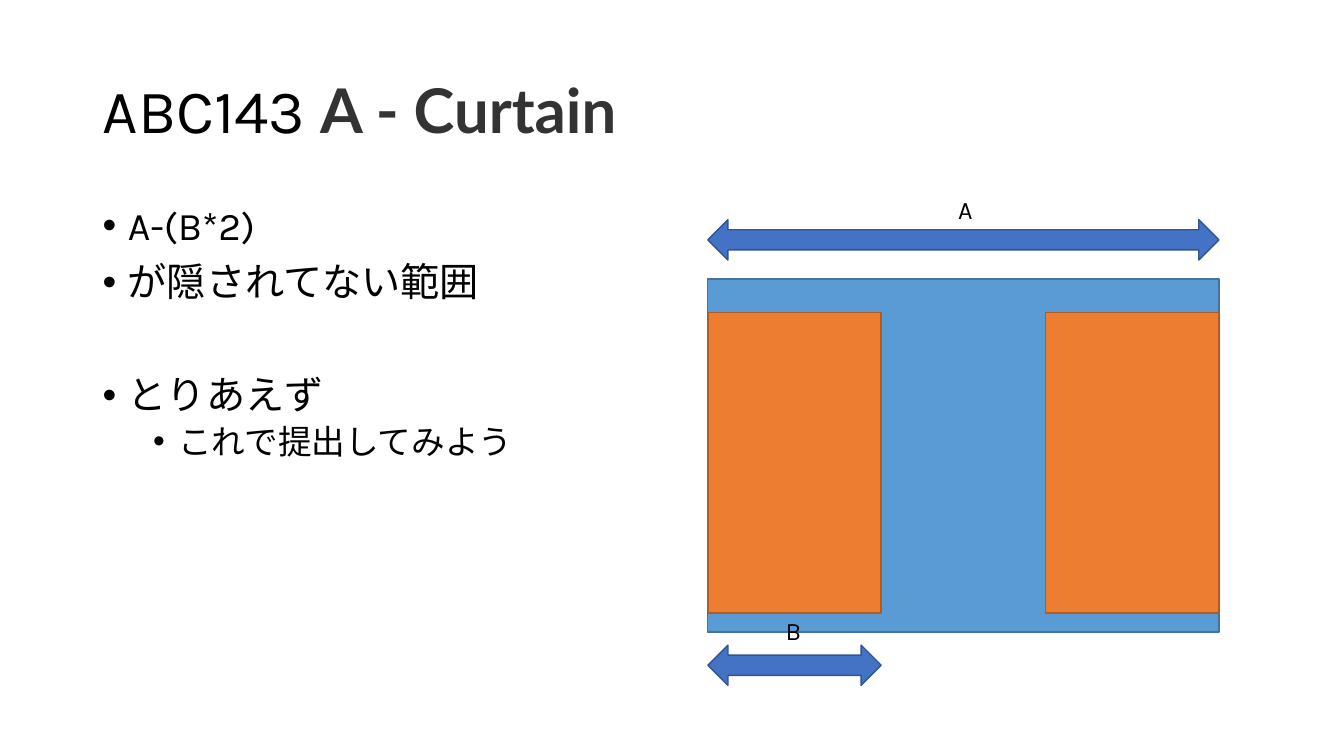
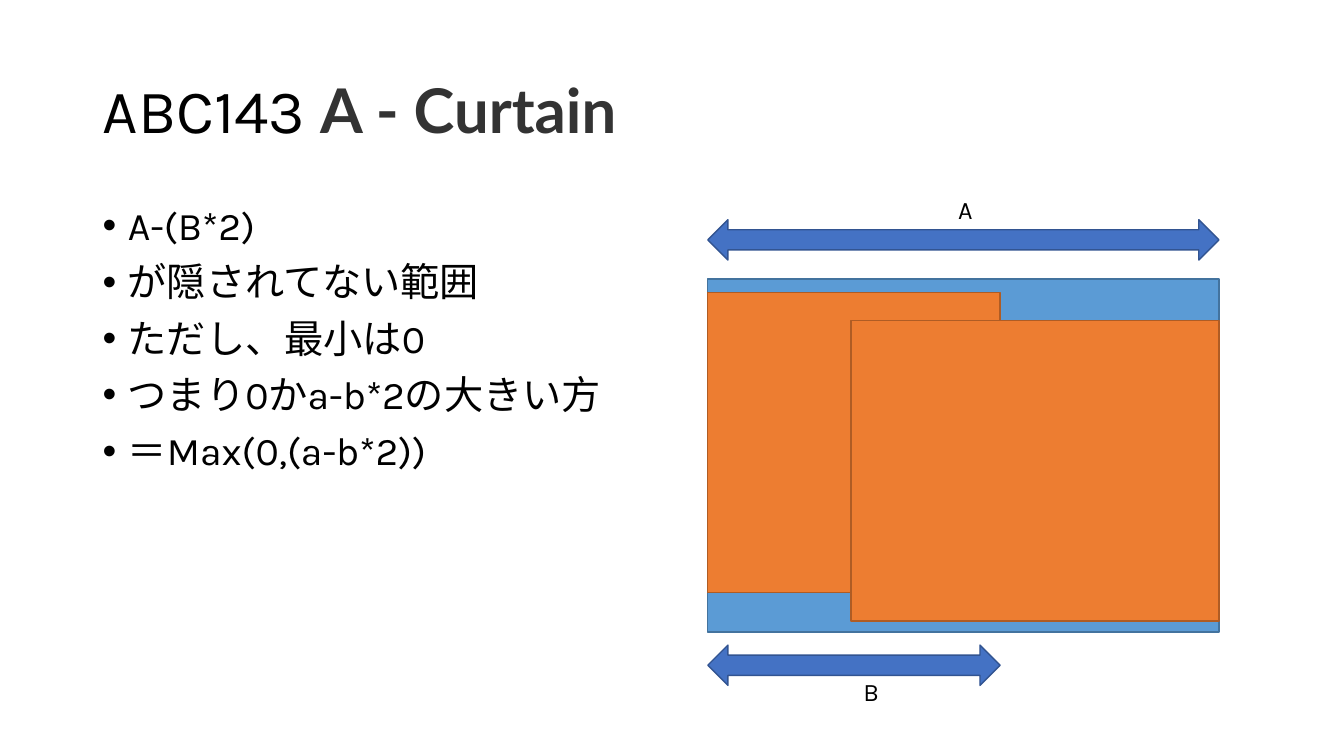
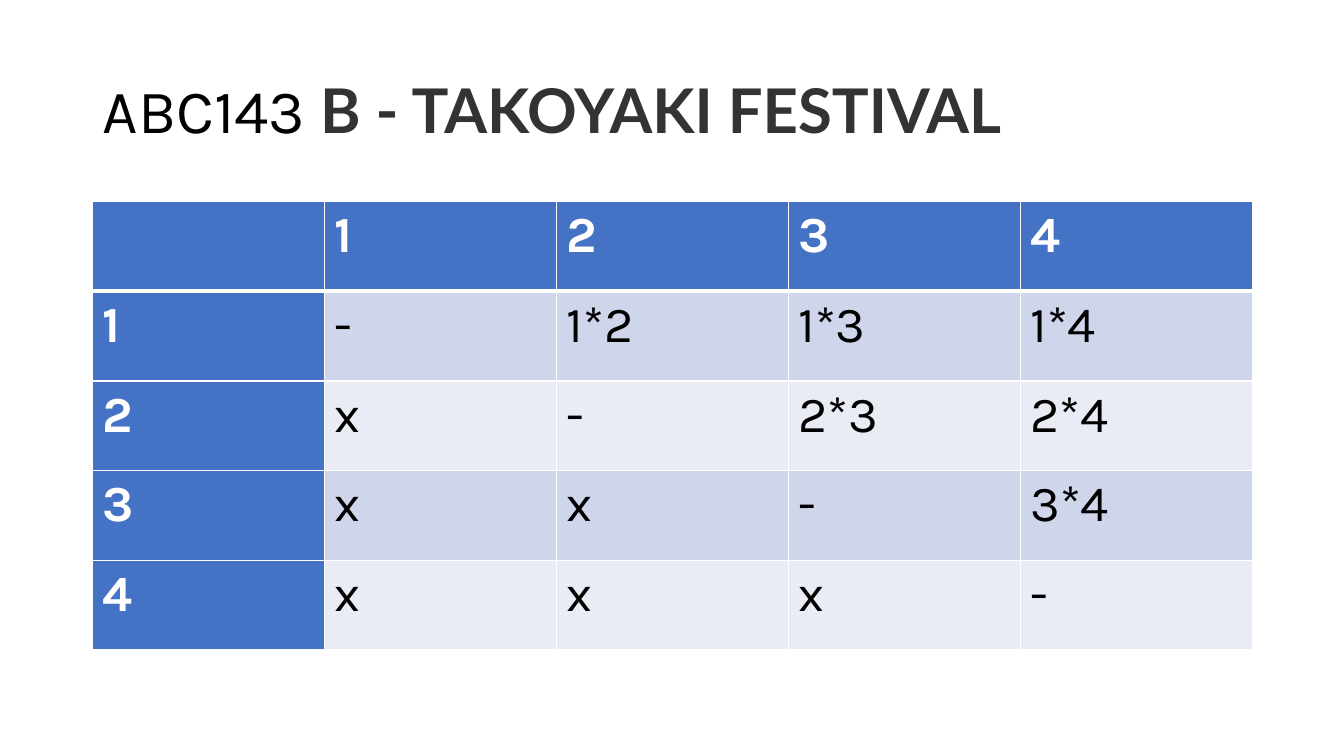
from lxml import etree
from pptx import Presentation
from pptx.dml.color import RGBColor
from pptx.enum.shapes import MSO_SHAPE
from pptx.enum.text import MSO_ANCHOR, PP_ALIGN
from pptx.oxml.ns import qn
from pptx.util import Inches, Pt

RECT = MSO_SHAPE.RECTANGLE
ARROW = MSO_SHAPE.LEFT_RIGHT_ARROW
MIDDLE = MSO_ANCHOR.MIDDLE
TOP = MSO_ANCHOR.TOP
LEFT = PP_ALIGN.LEFT
CENTER = PP_ALIGN.CENTER

SLIDE_W, SLIDE_H = 13.33, 7.5
MARGIN, CONTENT_W = 0.92, 11.5
TITLE_BOX = (MARGIN, 0.4, CONTENT_W, 1.45)
BODY_BOX = (MARGIN, 2, CONTENT_W, 4.76)
TABLE_BOX = (MARGIN, 2, CONTENT_W, 4.45)
WINDOW_BOX = (7.02, 2.77, 5.07, 3.5)

BODY_FONT, HEAD_FONT = "Karla", "Lato"
BLACK, WHITE, DARK = "000000", "FFFFFF", "333333"
BLUE, BAND, PALE = "4472C4", "CFD5EA", "E9EBF5"
WINDOW = ("5B9BD5", "43739E")
CURTAIN = ("ED7D31", "AF5C24")
MEASURE = (BLUE, "325491")

ARROW_H = 0.4
CURTAIN_H = 2.98
LABEL_W, LABEL_H = 0.36, 0.4
LEVELS = ((28, 10, 0.25), (24, 5, 0.75))


def rgb(value):
    return RGBColor.from_string(value)


def inches(box):
    return [Inches(v) for v in box]


def style_run(r, size, color=BLACK, font=BODY_FONT, bold=False):
    r.font.size = Pt(size)
    r.font.name = font
    r.font.bold = bold
    r.font.color.rgb = rgb(color)


def add_text_frame(slide, box, anchor=TOP, wrap=True):
    tf = slide.shapes.add_textbox(*inches(box)).text_frame
    tf.word_wrap = wrap
    tf.vertical_anchor = anchor
    return tf


def add_title(slide, name):
    p = add_text_frame(slide, TITLE_BOX, MIDDLE).paragraphs[0]
    p.line_spacing = 0.9
    for text, color, font, bold in (("ABC143 ", BLACK, BODY_FONT, False),
                                    (name, DARK, HEAD_FONT, True)):
        r = p.add_run()
        r.text = text
        style_run(r, 44, color, font, bold)


def add_bullets(slide, box, items):
    tf = add_text_frame(slide, box)
    for i, (text, level, gap) in enumerate(items):
        size, before, indent = LEVELS[level]
        p = tf.add_paragraph() if i else tf.paragraphs[0]
        p.text = text
        p.level = level
        p.line_spacing = 0.9
        p.space_before = Pt(before + gap)
        style_run(p.runs[0], size)
        pPr = p._p.get_or_add_pPr()
        pPr.set("marL", str(Inches(indent)))
        pPr.set("indent", str(Inches(-0.25)))
        etree.SubElement(pPr, qn("a:buFont"), typeface="Arial")
        etree.SubElement(pPr, qn("a:buChar"), char="•")


def add_block(slide, kind, box, colors):
    sp = slide.shapes.add_shape(kind, *inches(box))
    fill, line = colors
    sp.shadow.inherit = False
    sp.fill.solid()
    sp.fill.fore_color.rgb = rgb(fill)
    sp.line.color.rgb = rgb(line)
    sp.line.width = Pt(1)


def add_label(slide, text, center, top):
    box = (center - LABEL_W / 2, top, LABEL_W, LABEL_H)
    p = add_text_frame(slide, box, wrap=False).paragraphs[0]
    p.text = text
    p.alignment = CENTER
    style_run(p.runs[0], 18)


def add_curtains(slide, box, left, right, b_label):
    x, y, w, h = box
    left_w, left_drop = left
    right_w, right_drop = right
    label_x, label_drop = b_label
    b_top = y + h + 0.13
    add_block(slide, RECT, box, WINDOW)
    add_block(slide, RECT, (x, y + left_drop, left_w, CURTAIN_H), CURTAIN)
    add_block(slide, RECT, (x + w - right_w, y + right_drop, right_w, CURTAIN_H), CURTAIN)
    add_block(slide, ARROW, (x, y - 0.59, w, ARROW_H), MEASURE)
    add_block(slide, ARROW, (x, b_top, left_w, ARROW_H), MEASURE)
    add_label(slide, "A", x + w / 2 + 0.02, y - 0.89)
    add_label(slide, "B", x + label_x, b_top + label_drop)


def set_border(cell, side, width):
    ln = etree.SubElement(cell._tc.get_or_add_tcPr(), qn("a:" + side), w=str(Pt(width)))
    fill = etree.SubElement(ln, qn("a:solidFill"))
    etree.SubElement(fill, qn("a:srgbClr"), val=WHITE)


def product_text(row, col):
    if row == 0 or col == 0:
        return str(row + col) if row + col else ""
    if row == col:
        return "-"
    return f"{row}*{col}" if row < col else "x"


def add_product_table(slide, box, count):
    size = count + 1
    table = slide.shapes.add_table(size, size, *inches(box)).table
    table.first_col = True
    for row in range(size):
        table.rows[row].height = Inches(box[3] / size)
        table.columns[row].width = Inches(box[2] / size)
        for col in range(size):
            cell = table.cell(row, col)
            head = row == 0 or col == 0
            set_border(cell, "lnL", 1)
            set_border(cell, "lnR", 1)
            set_border(cell, "lnT", 3 if row == 1 else 1)
            set_border(cell, "lnB", 3 if row == 0 else 1)
            cell.fill.solid()
            cell.fill.fore_color.rgb = rgb(BLUE if head else BAND if row % 2 else PALE)
            p = cell.text_frame.paragraphs[0]
            p.text = product_text(row, col)
            p.alignment = LEFT
            for r in p.runs:
                style_run(r, 36, WHITE if head else BLACK, bold=head)


def new_slide(prs, name):
    slide = prs.slides.add_slide(prs.slide_layouts[6])
    add_title(slide, name)
    return slide


def curtain_slide(prs, items, left, right, b_label):
    slide = new_slide(prs, "A - Curtain")
    add_bullets(slide, BODY_BOX, items)
    add_curtains(slide, WINDOW_BOX, left, right, b_label)


def table_slide(prs):
    add_product_table(new_slide(prs, "B - TAKOYAKI FESTIVAL"), TABLE_BOX, 4)


def main():
    prs = Presentation()
    prs.slide_width = Inches(SLIDE_W)
    prs.slide_height = Inches(SLIDE_H)
    shared = [("A-(B*2)", 0, 0), ("が隠されてない範囲", 0, 0)]
    first = shared + [("とりあえず", 0, 40.4), ("これで提出してみよう", 1, 0)]
    second = shared + [(text, 0, 0) for text in (
        "ただし、最小は0", "つまり0かa-b*2の大きい方", "＝Max(0,(a-b*2))")]
    curtain_slide(prs, first, (1.72, 0.33), (1.72, 0.33), (0.85, -0.34))
    curtain_slide(prs, second, (2.9, 0.13), (3.65, 0.41), (1.62, 0.26))
    table_slide(prs)
    prs.save("out.pptx")


if __name__ == "__main__":
    main()
